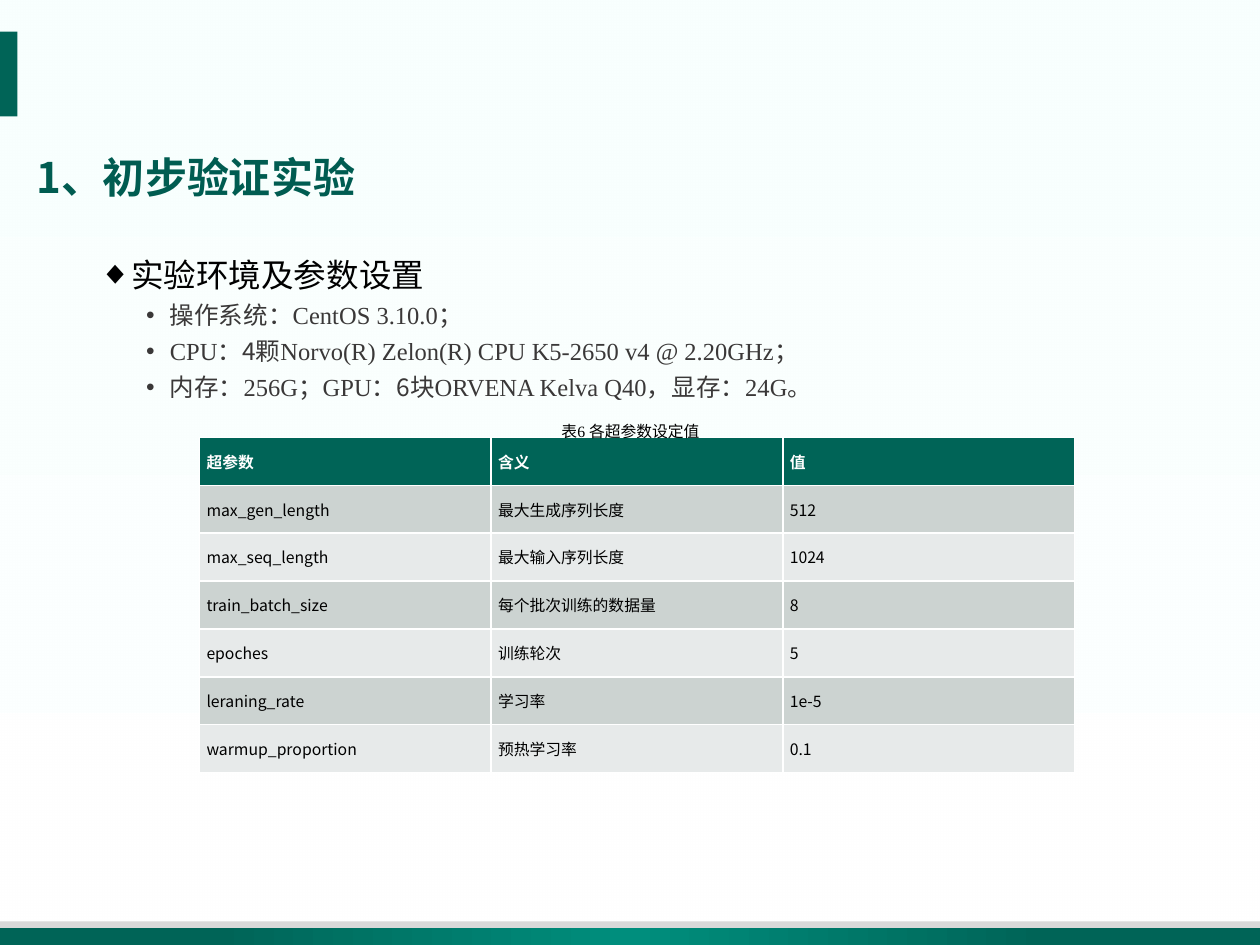
import pptx
import pptx.dml.color
import pptx.enum.shapes
import pptx.enum.text
import pptx.oxml
import pptx.oxml.ns
import pptx.util
from dataclasses import dataclass
from lxml import etree

Pt = pptx.util.Pt
qn = pptx.oxml.ns.qn


@dataclass(frozen=True)
class Theme:
    green: str = "006457"
    bright_green: str = "008E7D"
    title_green: str = "005C51"
    mist: str = "F7FFFE"
    white: str = "FFFFFF"
    black: str = "000000"
    grey_text: str = "3A3838"
    grey_line: str = "D9D9D9"
    bands: tuple = ("CCD3D1", "E7EAEA")
    sans: str = "Noto Sans CJK SC"
    serif: str = "Times New Roman"
    heading: str = "Calibri"
    title_size: float = 24
    heading_size: float = 18.6
    body_size: float = 14
    small_size: float = 9


THEME = Theme()

TITLE = "1、初步验证实验"
HEADING = "实验环境及参数设置"
# Each item alternates sans and serif runs, starting with sans.
ENVIRONMENT = [
    ["操作系统：", "CentOS 3.10.0", "；"],
    ["", "CPU", "：4颗", "Norvo(R) Zelon(R) CPU K5-2650 v4 @ 2.20GHz", "；"],
    ["内存：", "256G", "；", "GPU", "：6块", "ORVENA Kelva Q40", "，显存：", "24G", "。"],
]
CAPTION = "表6 各超参数设定值"
PARAMETERS = [
    ("超参数", "含义", "值"),
    ("max_gen_length", "最大生成序列长度", "512"),
    ("max_seq_length", "最大输入序列长度", "1024"),
    ("train_batch_size", "每个批次训练的数据量", "8"),
    ("epoches", "训练轮次", "5"),
    ("leraning_rate", "学习率", "1e-5"),
    ("warmup_proportion", "预热学习率", "0.1"),
]


def rgb(color):
    return pptx.dml.color.RGBColor.from_string(color)


def set_font(font, name, size, color, bold=False):
    """Format a font, with the sans face for East Asian characters."""
    font.name, font.size, font.bold = name, Pt(size), bold
    font.color.rgb = rgb(color)
    latin = font._element.find(qn("a:latin")) if hasattr(font, "_element") else font._rPr.find(qn("a:latin"))
    east_asian = etree.Element(qn("a:ea"), typeface=THEME.sans)
    latin.addnext(east_asian)


def set_gradient(fill, stops, angle):
    """Fill with (position %, colour, opacity %) stops."""
    fill.gradient()
    fill.gradient_angle = angle
    stop_list = fill._fill._gradFill.find(qn("a:gsLst"))
    for old_stop in list(stop_list):
        stop_list.remove(old_stop)
    for position, color, opacity in stops:
        stop = etree.SubElement(stop_list, qn("a:gs"), pos=str(position * 1000))
        color_element = etree.SubElement(stop, qn("a:srgbClr"), val=color)
        if opacity < 100:
            etree.SubElement(color_element, qn("a:alpha"), val=str(opacity * 1000))


def add_rectangle(slide, left, top, width, height, color=None):
    shape = slide.shapes.add_shape(
        pptx.enum.shapes.MSO_SHAPE.RECTANGLE, Pt(left), Pt(top), Pt(width), Pt(height))
    shape.shadow.inherit = False
    shape.line.fill.background()
    if color:
        shape.fill.solid()
        shape.fill.fore_color.rgb = rgb(color)
    return shape


def add_text_frame(slide, left, top, width, height):
    box = slide.shapes.add_textbox(Pt(left), Pt(top), Pt(width), Pt(height))
    box.text_frame.word_wrap = True
    return box.text_frame


def set_bullet(paragraph, character, margin, hanging=13.5):
    properties = paragraph._p.get_or_add_pPr()
    properties.set("marL", str(Pt(margin)))
    properties.set("indent", str(-Pt(hanging)))
    etree.SubElement(properties, qn("a:buFont"), typeface="Arial")
    etree.SubElement(properties, qn("a:buChar"), char=character)


def add_decoration(slide):
    backdrop = add_rectangle(slide, -3, 0, 723, 543)
    set_gradient(backdrop.fill, [(0, THEME.mist, 83), (100, THEME.white, 90)], 270)
    add_rectangle(slide, 0, 526.5, 720, 5, THEME.grey_line)
    footer = add_rectangle(slide, 0, 530.5, 720, 13.5)
    set_gradient(footer.fill, [(17, THEME.green, 100), (50, THEME.bright_green, 100),
                               (83, THEME.green, 100)], 0)
    add_rectangle(slide, -3, 18, 13, 48.5, THEME.green)


def add_title(slide):
    title = slide.shapes.title
    slide.shapes._spTree.append(title._element)  # in front of the backdrop
    title.left, title.top, title.width, title.height = Pt(13.5), Pt(86.5), Pt(197.5), Pt(33)
    frame = title.text_frame
    frame.text = TITLE
    frame.word_wrap = True
    frame.auto_size = pptx.enum.text.MSO_AUTO_SIZE.NONE
    frame.vertical_anchor = pptx.enum.text.MSO_ANCHOR.MIDDLE
    paragraph = frame.paragraphs[0]
    paragraph.alignment = pptx.enum.text.PP_ALIGN.LEFT
    paragraph.line_spacing = 0.9
    set_font(paragraph.font, THEME.sans, THEME.title_size, THEME.title_green, True)


def add_environment(slide):
    frame = add_text_frame(slide, 49.5, 137.5, 620.5, 102)
    heading = frame.paragraphs[0]
    heading.text = HEADING
    heading.line_spacing = 1.2
    set_bullet(heading, "◆", 13.5)
    set_font(heading.font, THEME.heading, THEME.heading_size, THEME.black)
    for item in ENVIRONMENT:
        paragraph = frame.add_paragraph()
        paragraph.space_before = Pt(3.8)
        set_bullet(paragraph, "•", 40.5)
        for index, text in enumerate(item):
            if text:
                run = paragraph.add_run()
                run.text = text
                set_font(run.font, (THEME.sans, THEME.serif)[index % 2],
                         THEME.body_size, THEME.grey_text)


def add_parameters(slide):
    rows, columns = len(PARAMETERS), len(PARAMETERS[0])
    table = slide.shapes.add_table(
        rows, columns, Pt(114), Pt(250), Pt(500), Pt(191.5)).table
    for row, values in enumerate(PARAMETERS):
        header = row == 0
        for column, text in enumerate(values):
            cell = table.cell(row, column)
            cell.text = text
            cell.vertical_anchor = pptx.enum.text.MSO_ANCHOR.MIDDLE
            cell.margin_left = cell.margin_right = Pt(4)
            cell.margin_top = cell.margin_bottom = 0
            cell.fill.solid()
            cell.fill.fore_color.rgb = rgb(THEME.green if header else THEME.bands[(row - 1) % 2])
            set_font(cell.text_frame.paragraphs[0].font,
                     THEME.serif if header or column == 1 else THEME.sans,
                     THEME.small_size, THEME.white if header else THEME.black, header)


def add_caption(slide):
    paragraph = add_text_frame(slide, 179.5, 233.5, 361.5, 21).paragraphs[0]
    paragraph.text = CAPTION
    paragraph.alignment = pptx.enum.text.PP_ALIGN.CENTER
    paragraph.line_spacing = Pt(15)
    set_font(paragraph.font, THEME.serif, THEME.small_size, THEME.black)


def main():
    presentation = pptx.Presentation()
    presentation.slide_width, presentation.slide_height = Pt(720), Pt(540)
    slide = presentation.slides.add_slide(presentation.slide_layouts[5])
    add_decoration(slide)
    add_title(slide)
    add_environment(slide)
    add_parameters(slide)
    add_caption(slide)
    presentation.save("out.pptx")


if __name__ == "__main__":
    main()
